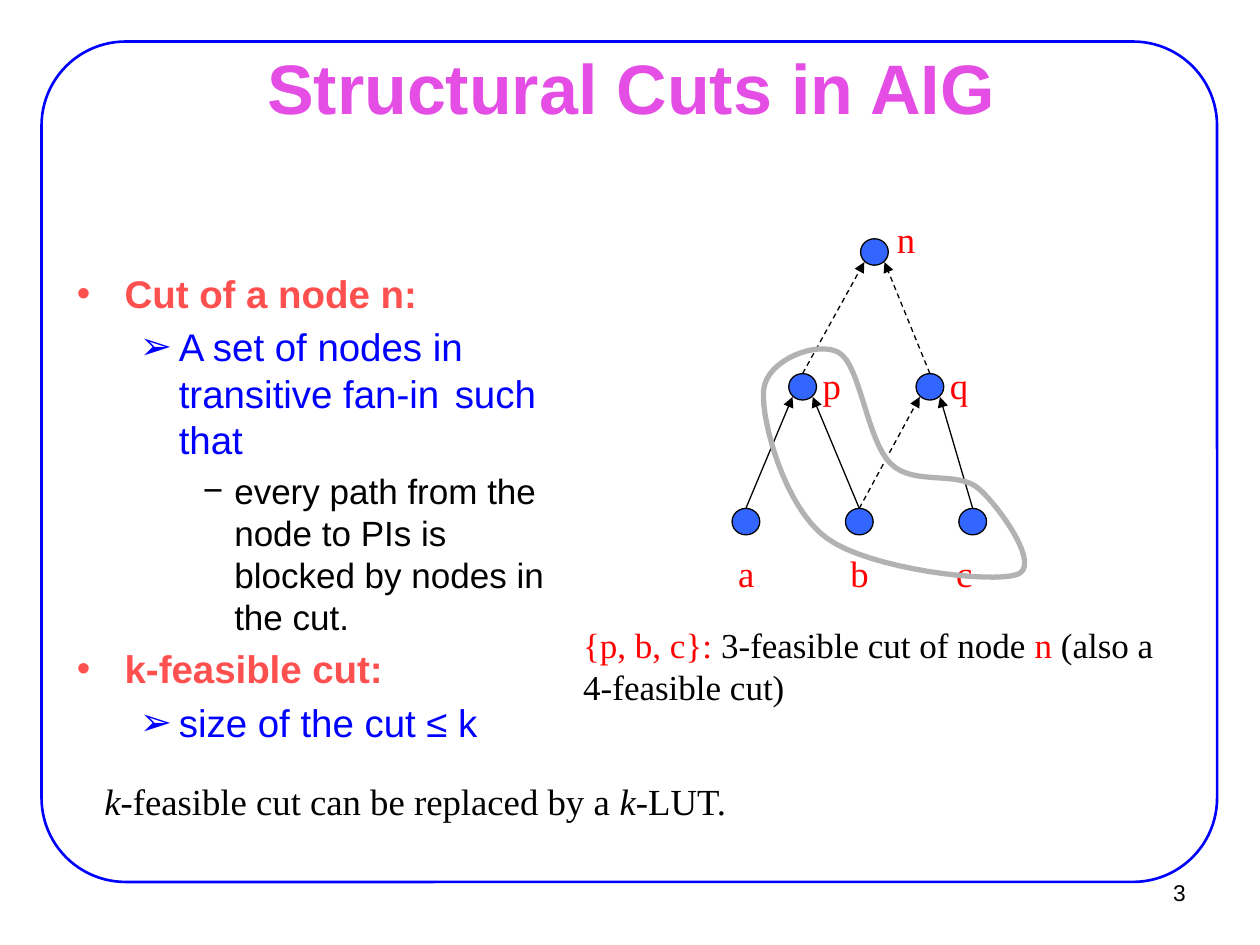
from lxml import etree
from pptx import Presentation
from pptx.dml.color import RGBColor
from pptx.enum.dml import MSO_LINE
from pptx.enum.shapes import MSO_CONNECTOR, MSO_SHAPE
from pptx.enum.text import MSO_ANCHOR as Anchor, PP_ALIGN as Align
from pptx.oxml.ns import qn
from pptx.util import Inches, Pt

COLORS = {"frame": "0000FF", "title": "E44EE4", "heading": "FF5050",
          "detail": "0000FF", "node": "3366FF", "label": "FF0000",
          "ink": "000000", "cut": "B2B2B2"}
SANS, SERIF = "Arial", "Times New Roman"

# Bullet levels: character, left indent, hanging indent, and run format
LEVELS = [
    ("•", 0.38, 0.38, dict(size=22, color="heading", bold=True)),
    ("➢", 0.81, 0.31, dict(size=22, color="detail")),
    ("−", 1.25, 0.25, dict(size=20)),
]
OUTLINE = [
    (0, "Cut of a node n:"),
    (1, "A set of nodes in transitive fan-in \tsuch that"),
    (2, "every path from the node to PIs is blocked by nodes in the cut."),
    (0, "k-feasible cut:"),
    (1, "size of the cut ≤ k"),
]

TOP_ROW, ROW_GAP = 2.0, 1.07
NODE_W, NODE_H = 0.22, 0.21
# Node: centre x, row, label offset from the centre, label width
NODES = {
    "a": (5.92, 2, (-0.16, 0.18), 0.33),
    "b": (6.82, 2, (-0.17, 0.18), 0.35),
    "c": (7.72, 2, (-0.23, 0.18), 0.33),
    "p": (6.37, 1, (0.06, -0.24), 0.35),
    "q": (7.38, 1, (0.06, -0.24), 0.35),
    "n": (6.94, 0, (0.08, -0.33), 0.28),
}
# Edge: fan-in, node, side of the node it enters, dashed
EDGES = [("a", "p", -1, False), ("b", "p", 1, False), ("b", "q", -1, True),
         ("c", "q", 1, False), ("p", "n", -1, True), ("q", "n", 1, True)]
CUT_START = (6.06, 3.1)
CUT_CURVES = [
    ((6.04, 3.34), (6.23, 4.03), (6.56, 4.27)),
    ((6.9, 4.52), (7.87, 4.63), (8.07, 4.56)),
    ((8.27, 4.5), (7.94, 4.03), (7.77, 3.88)),
    ((7.6, 3.73), (7.25, 3.86), (7.07, 3.68)),
    ((6.88, 3.5), (6.83, 2.9), (6.66, 2.8)),
    ((6.5, 2.7), (6.08, 2.85), (6.06, 3.1)),
]


def rgb(name):
    return RGBColor.from_string(COLORS[name])


def write(paragraph, text, size=20, color="ink", font=SANS, bold=False, italic=False):
    run = paragraph.add_run()
    run.text = text
    style = run.font
    style.name, style.size = font, Pt(size)
    style.bold, style.italic = bold, italic
    style.color.rgb = rgb(color)


def set_bullet(paragraph, char, left, hanging):
    """Give a paragraph its bullet, indents and 20 % space before."""
    props = paragraph._p.get_or_add_pPr()
    props.set("marL", str(Inches(left)))
    props.set("indent", str(-Inches(hanging)))
    space = etree.SubElement(props, qn("a:spcBef"))
    etree.SubElement(space, qn("a:spcPct"), val="20000")
    etree.SubElement(props, qn("a:buFont"), typeface=SANS)
    etree.SubElement(props, qn("a:buChar"), char=char)


def bezier(start, first, second, end, steps=16):
    """Points along a cubic curve, without its start."""
    for step in range(1, steps + 1):
        t = step / steps
        u = 1 - t
        yield tuple(u**3 * s + 3 * u * u * t * f + 3 * u * t * t * g + t**3 * e
                    for s, f, g, e in zip(start, first, second, end))


def node_centre(name):
    x, row = NODES[name][:2]
    return x, TOP_ROW + row * ROW_GAP


class SlideBuilder:
    def __init__(self, slide):
        self.shapes = slide.shapes

    def outline(self, shape, color, width, fill=None):
        shape.shadow.inherit = False
        shape.line.color.rgb, shape.line.width = rgb(color), Pt(width)
        if fill:
            shape.fill.solid()
            shape.fill.fore_color.rgb = rgb(fill)
        else:
            shape.fill.background()

    def preset(self, kind, box, color, width, fill=None):
        shape = self.shapes.add_shape(kind, *map(Inches, box))
        self.outline(shape, color, width, fill)
        return shape

    def text(self, box, runs=(), align=Align.LEFT, anchor=Anchor.TOP,
             wrap=True, inset=(0.1, 0.05)):
        """Add a text box whose first paragraph holds (text, format) runs."""
        frame = self.shapes.add_textbox(*map(Inches, box)).text_frame
        frame.word_wrap, frame.vertical_anchor = wrap, anchor
        frame.margin_left = frame.margin_right = Inches(inset[0])
        frame.margin_top = frame.margin_bottom = Inches(inset[1])
        paragraph = frame.paragraphs[0]
        paragraph.alignment = align
        for content, style in runs:
            write(paragraph, content, **style)
        return frame

    def bullets(self, box, items):
        frame = self.text(box, inset=(0.11, 0.06))
        for index, (level, content) in enumerate(items):
            paragraph = frame.add_paragraph() if index else frame.paragraphs[0]
            char, left, hanging, style = LEVELS[level]
            paragraph.level = level
            set_bullet(paragraph, char, left, hanging)
            write(paragraph, content, **style)

    def arrow(self, start, end, dashed):
        edge = self.shapes.add_connector(MSO_CONNECTOR.STRAIGHT,
                                         *map(Inches, (*start, *end)))
        edge.line.color.rgb, edge.line.width = rgb("ink"), Pt(0.75)
        if dashed:
            edge.line.dash_style = MSO_LINE.DASH
        etree.SubElement(edge.line._get_or_add_ln(), qn("a:tailEnd"), type="triangle")
        etree.SubElement(edge._element.spPr, qn("a:effectLst"))

    def closed_curve(self, start, curves, color, width):
        points = []
        here = start
        for curve in curves:
            points += bezier(here, *curve)
            here = curve[-1]
        builder = self.shapes.build_freeform(*map(Inches, start), scale=1.0)
        builder.add_line_segments([(Inches(x), Inches(y)) for x, y in points], close=True)
        self.outline(builder.convert_to_shape(), color, width)


def draw_graph(page):
    for name in NODES:
        x, y = node_centre(name)
        page.preset(MSO_SHAPE.OVAL, (x - NODE_W / 2, y - NODE_H / 2, NODE_W, NODE_H),
                    "ink", 0.75, "node")
    for fanin, node, side, dashed in EDGES:
        (x1, y1), (x2, y2) = node_centre(fanin), node_centre(node)
        page.arrow((x1, y1 - NODE_H / 2), (x2 + side * 0.08, y2 + 0.08), dashed)
    for name, (_, _, (dx, dy), width) in NODES.items():
        x, y = node_centre(name)
        page.text((x + dx, y + dy, width, 0.45),
                  [(name, dict(size=21, color="label", font=SERIF))], wrap=False)
    page.closed_curve(CUT_START, CUT_CURVES, "cut", 3)


def main():
    deck = Presentation()
    deck.slide_width, deck.slide_height = Inches(10), Inches(7.5)
    page = SlideBuilder(deck.slides.add_slide(deck.slide_layouts[6]))

    frame = page.preset(MSO_SHAPE.ROUNDED_RECTANGLE, (0.33, 0.33, 9.33, 6.67), "frame", 1.5)
    frame.adjustments[0] = 0.1
    page.text((8.94, 6.83, 0.56, 0.5), [("3", dict(size=13))],
              align=Align.RIGHT, anchor=Anchor.MIDDLE, inset=(0.09, 0.04))
    page.text((0.76, 0.44, 8.5, 0.49),
              [("Structural Cuts in AIG", dict(size=40, color="title", bold=True))],
              align=Align.CENTER, anchor=Anchor.MIDDLE, inset=(0.11, 0.06))
    page.bullets((0.5, 2.08, 4.17, 5.32), OUTLINE)
    draw_graph(page)

    plain = dict(size=20, font=SERIF)
    marked = dict(plain, color="label")
    page.text((4.53, 4.9, 4.92, 0.77),
              [("{p, b, c}: ", marked), ("3-feasible cut of node ", plain),
               ("n", marked), (" (also a 4-feasible cut)", plain)])
    note = dict(size=21, font=SERIF)
    slanted = dict(note, italic=True)
    page.text((0.73, 6.13, 8.43, 0.45),
              [("k", slanted), ("-feasible cut can be replaced by a ", note),
               ("k-", slanted), ("LUT.", note)])
    deck.save("out.pptx")


if __name__ == "__main__":
    main()
